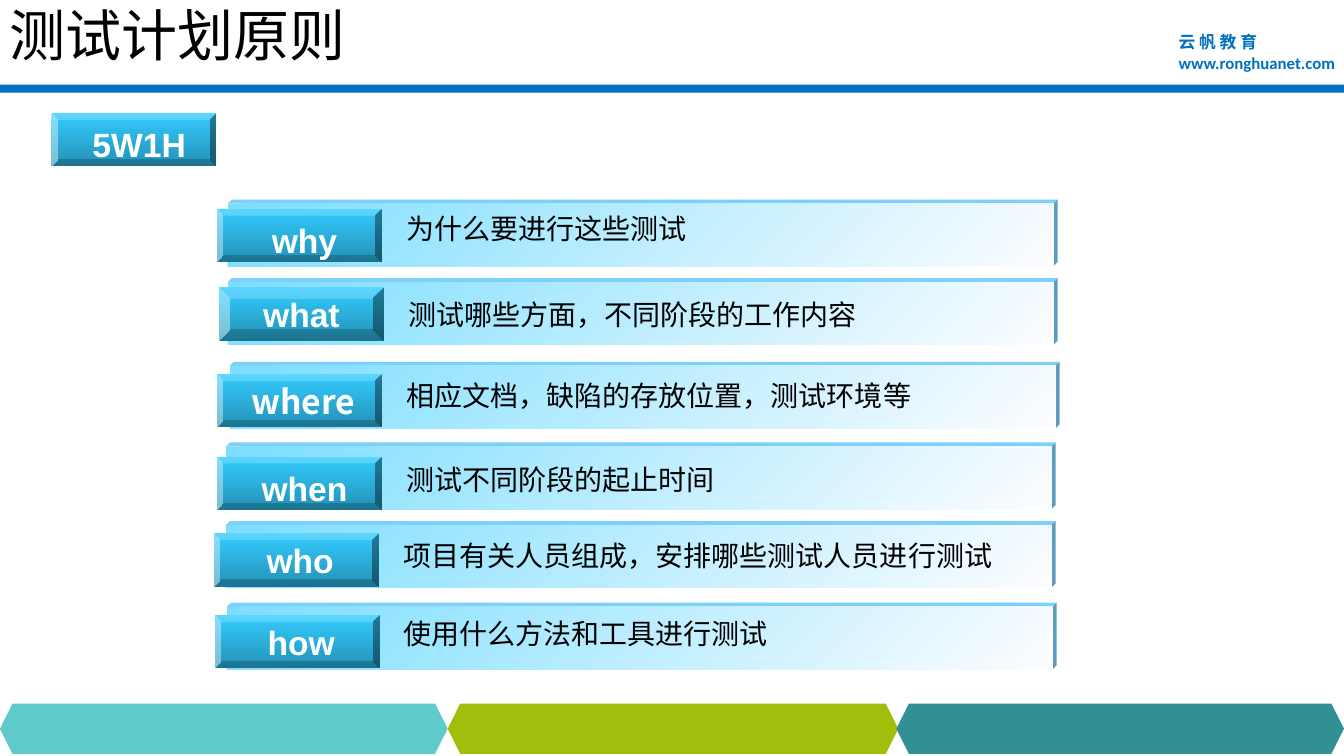
from lxml import etree
from pptx import Presentation
from pptx import util as u
from pptx.dml.color import RGBColor
from pptx.enum import shapes, text
from pptx.oxml import ns

COLORS = {
    "blue": "0070C0", "black": "000000", "white": "FFFFFF",
    "teal": "5FCACB", "green": "A0BF0D", "deep_teal": "319095",
    "button_top": "33CCFF", "button_bottom": "2491B6",
    "bar_start": "7DDDFF", "bar_end": "FCFDFF",
    "bar_top": "7CD0FB", "bar_side": "5E9DBD",
}
CJK = "Noto Sans CJK SC"
BAR_SIZE = (8.19, 0.62)
BUTTON_SIZE = (1.64, 0.53)
DEPTH = 0.04

# Each row: bar position, button position, button bevel, label runs, text position, text, font
ROWS = [
    ((2.26, 2.02), (2.15, 2.07), 0.125, [(" ", 32, CJK), ("why", 24, "Arial")],
     (3.93, 1.89), "为什么要进行这些测试", CJK),
    ((2.26, 2.8), (2.17, 2.85), 0.21, [("what", 24, "Arial")],
     (3.95, 2.74), "测试哪些方面，不同阶段的工作内容", "Arial"),
    ((2.28, 3.63), (2.15, 3.71), 0.125, [(" where", 24, CJK)],
     (3.93, 3.55), "相应文档，缺陷的存放位置，测试环境等", "Arial"),
    ((2.24, 4.43), (2.15, 4.53), 0.125, [(" ", 32, CJK), ("when", 24, "Arial")],
     (3.93, 4.38), "测试不同阶段的起止时间", "Arial"),
    ((2.24, 5.21), (2.12, 5.29), 0.125, [(" ", 24, CJK), ("who", 24, "Arial")],
     (3.9, 5.13), "项目有关人员组成，安排哪些测试人员进行测试", "Arial"),
    ((2.25, 6.02), (2.13, 6.1), 0.125, [(" ", 24, CJK), ("how", 24, "Arial")],
     (3.9, 5.91), "使用什么方法和工具进行测试", "Arial"),
]


def color(name):
    return RGBColor.from_string(COLORS[name])


def paint(shape, fill):
    shape.shadow.inherit = False
    shape.line.fill.background()
    shape.fill.solid()
    shape.fill.fore_color.rgb = color(fill)


def paint_gradient(shape, start, end, angle):
    shape.shadow.inherit = False
    shape.line.fill.background()
    shape.fill.gradient()
    shape.fill.gradient_angle = angle
    for stop, name, position in zip(shape.fill.gradient_stops, (start, end), (0, 1)):
        stop.color.rgb = color(name)
        stop.position = position


def add_preset(slide, preset, box):
    return slide.shapes.add_shape(preset, *map(u.Inches, box))


def add_run(paragraph, words, size, font, ink, bold=False):
    run = paragraph.add_run()
    run.text = words
    run.font.size = u.Pt(size)
    run.font.name = font
    run.font.bold = bold
    run.font.color.rgb = color(ink)
    east_asian = etree.SubElement(run.font._element, ns.qn("a:ea"))
    east_asian.set("typeface", CJK)


def add_text(slide, box, lines, anchor=text.MSO_ANCHOR.MIDDLE):
    frame = slide.shapes.add_textbox(*map(u.Inches, box)).text_frame
    frame.word_wrap = True
    frame.vertical_anchor = anchor
    for index, line in enumerate(lines):
        paragraph = frame.add_paragraph() if index else frame.paragraphs[0]
        add_run(paragraph, *line)


def add_face(slide, points, fill):
    corners = [(u.Inches(x), u.Inches(y)) for x, y in points]
    builder = slide.shapes.build_freeform(*corners[0])
    builder.add_line_segments(corners[1:], close=True)
    paint(builder.convert_to_shape(), fill)


def add_bar(slide, left, top):
    width, height = BAR_SIZE
    right, bottom = left + width, top + height
    back_corner = (right + DEPTH, top - DEPTH)
    add_face(slide, [(left, top), (left + DEPTH, top - DEPTH), back_corner,
                     (right, top)], "bar_top")
    add_face(slide, [(right, top), back_corner, (right + DEPTH, bottom - DEPTH),
                     (right, bottom)], "bar_side")
    bar = add_preset(slide, shapes.MSO_SHAPE.RECTANGLE, (left, top, width, height))
    paint_gradient(bar, "bar_start", "bar_end", 315)


def add_button(slide, left, top, bevel, runs):
    button = add_preset(slide, shapes.MSO_SHAPE.BEVEL, (left, top, *BUTTON_SIZE))
    button.adjustments[0] = bevel
    paint_gradient(button, "button_top", "button_bottom", 270)
    frame = button.text_frame
    frame.word_wrap = False
    frame.vertical_anchor = text.MSO_ANCHOR.MIDDLE
    paragraph = frame.paragraphs[0]
    paragraph.alignment = text.PP_ALIGN.CENTER
    for words, size, font in runs:
        add_run(paragraph, words, size, font, "white", True)


def add_header(slide, left, top, width):
    rule = add_preset(slide, shapes.MSO_SHAPE.RECTANGLE, (left, top + 0.84, width, 0.08))
    paint(rule, "blue")
    add_text(slide, (left + 11.59, top + 0.27, 1.82, 0.5), [
        ("云 帆 教 育", 12, CJK, "blue", True),
        ("www.ronghuanet.com", 12, "Calibri", "blue", True),
    ], text.MSO_ANCHOR.TOP)
    add_text(slide, (left, top - 0.01, 10, 0.7),
             [("测试计划原则", 40, "Arial", "black")])


def add_footer(slide, left, top, height):
    for offset, width, fill in ((0, 4.44, "teal"), (4.44, 4.47, "green"),
                                (8.89, 4.44, "deep_teal")):
        hexagon = add_preset(slide, shapes.MSO_SHAPE.HEXAGON,
                             (left + offset, top, width, height))
        paint(hexagon, fill)


def add_row(slide, bar, button, bevel, label, place, words, font):
    add_bar(slide, *bar)
    add_button(slide, *button, bevel, label)
    add_text(slide, (*place, 6.3, 0.75), [(words, 20, font, "black")])


def main():
    presentation = Presentation()
    presentation.slide_width = u.Inches(13.33)
    presentation.slide_height = u.Inches(7.5)
    slide = presentation.slides.add_slide(presentation.slide_layouts[6])
    add_header(slide, 0, 0, 13.33)
    add_footer(slide, 0, 6.98, 0.5)
    for row in ROWS:
        add_row(slide, *row)
    add_button(slide, 0.51, 1.12, 0.125, [(" ", 32, CJK), ("5W1H", 24, "Arial")])
    presentation.save("out.pptx")


if __name__ == "__main__":
    main()
